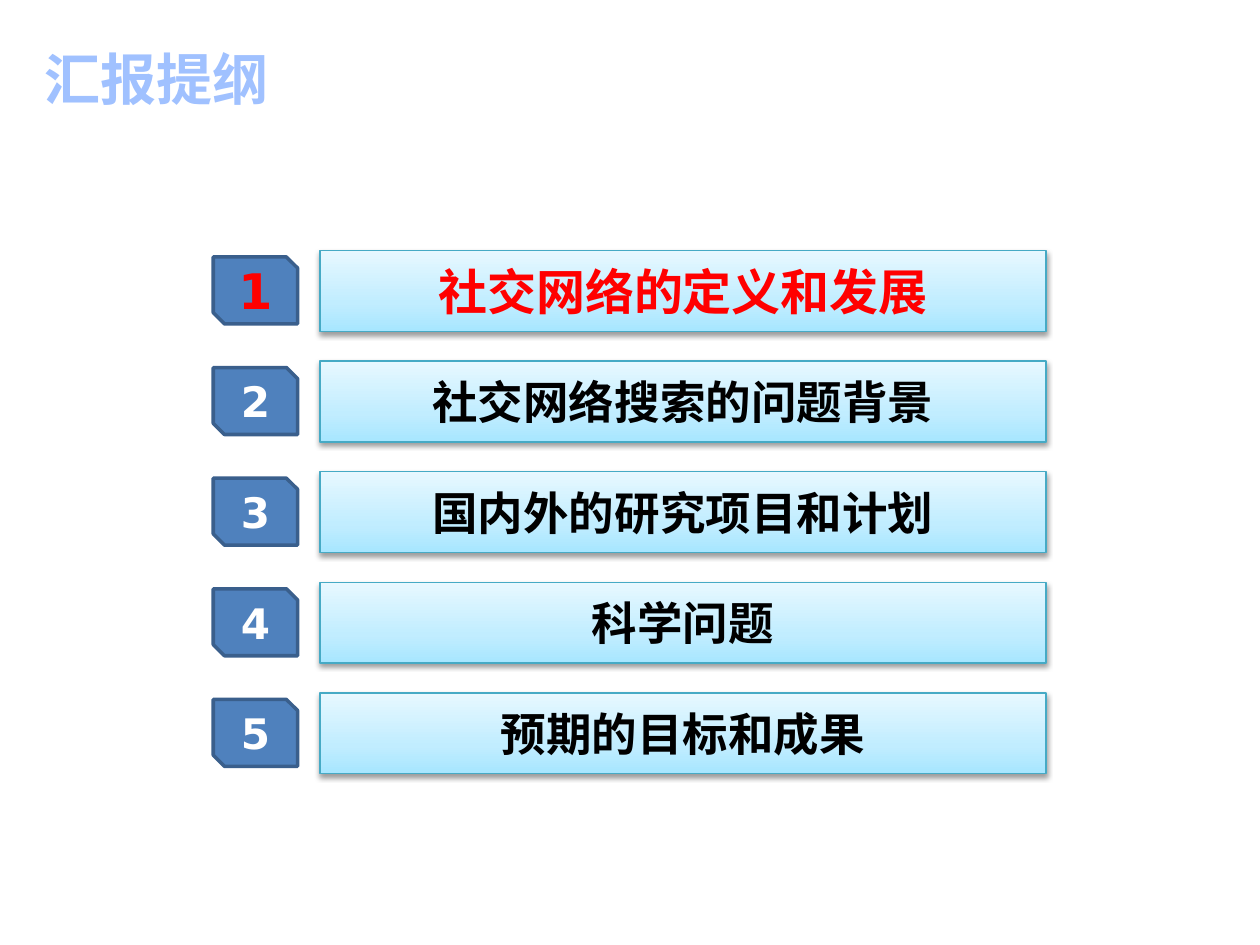
from dataclasses import dataclass

from pptx import Presentation
from pptx.dml.color import RGBColor
from pptx.enum.shapes import MSO_SHAPE
from pptx.enum.text import MSO_ANCHOR, PP_ALIGN
from pptx.oxml import parse_xml
from pptx.oxml.ns import nsdecls, qn
from pptx.util import Cm, Pt


@dataclass(frozen=True)
class Theme:
    title: str = "A0C1FF"
    text: str = "000000"
    number: str = "FFFFFF"
    current: str = "FF0000"
    badge: str = "4F81BD"
    badge_line: str = "3A5F8C"
    bar_line: str = "46AAC5"
    bar_stops: tuple = ((0, "A7E6FF"), (35, "C1EDFF"), (100, "E7F8FF"))
    title_size: int = 32
    current_size: int = 28
    topic_size: int = 26
    number_size: int = 24
    text_font: str = "Noto Sans CJK SC"
    number_font: str = "DejaVu Sans"


theme = Theme()


def write(shape, text, font_name, size, color, align):
    frame = shape.text_frame
    frame.vertical_anchor = MSO_ANCHOR.MIDDLE
    paragraph = frame.paragraphs[0]
    paragraph.alignment = align
    run = paragraph.add_run()
    run.text = text
    for key, value in {"name": font_name, "size": Pt(size), "bold": True}.items():
        setattr(run.font, key, value)
    run.font.color.rgb = RGBColor.from_string(color)
    east_asian = parse_xml(f'<a:ea {nsdecls("a")} typeface="{font_name}"/>')
    run.font._element.find(qn("a:latin")).addnext(east_asian)


def add_box(group, kind, place, line_color, line_width):
    box = group.shapes.add_shape(kind, *(Cm(length) for length in place))
    box.shadow.inherit = False
    box.line.color.rgb = RGBColor.from_string(line_color)
    box.line.width = Pt(line_width)
    box.text_frame.word_wrap = False
    return box


prs = Presentation()
prs.slide_width, prs.slide_height = Cm(25.4), Cm(19.05)
slide = prs.slides.add_slide(prs.slide_layouts[5])

# Title
title = slide.shapes.title
title_place = {"left": 0.64, "top": 0.43, "width": 22.86, "height": 2.31}
for key, value in title_place.items():
    setattr(title, key, Cm(value))
write(title, "汇报提纲", theme.text_font, theme.title_size, theme.title, PP_ALIGN.LEFT)

# Agenda rows: a topic bar with a numbered badge, the current one in red
topics = [
    "社交网络的定义和发展",
    "社交网络搜索的问题背景",
    "国内外的研究项目和计划",
    "科学问题",
    "预期的目标和成果",
]
current_number = 1
first_top, row_pitch = 5.05, 2.23
stops_xml = "".join(
    f'<a:gs pos="{position * 1000}"><a:srgbClr val="{color}"/></a:gs>'
    for position, color in theme.bar_stops
)

for number, topic in enumerate(topics, start=1):
    top = first_top + (number - 1) * row_pitch
    row = slide.shapes.add_group_shape()
    if number == current_number:
        topic_style = number_style = (theme.current_size, theme.current)
    else:
        topic_style = (theme.topic_size, theme.text)
        number_style = (theme.number_size, theme.number)

    # Topic bar with a three-stop gradient and a soft shadow
    bar = add_box(row, MSO_SHAPE.RECTANGLE, (6.45, top, 14.64, 1.63), theme.bar_line, 0.75)
    bar.fill.gradient()
    bar.fill.gradient_angle = 90
    properties = bar._element.spPr
    stop_list = properties.find(qn("a:gradFill")).find(qn("a:gsLst"))
    stop_list.getparent().replace(
        stop_list, parse_xml(f'<a:gsLst {nsdecls("a")}>{stops_xml}</a:gsLst>')
    )
    properties.find(qn("a:effectLst")).append(parse_xml(
        f'<a:outerShdw {nsdecls("a")} blurRad="{Pt(3.1)}" dist="{Pt(1.6)}" dir="5400000" '
        'rotWithShape="0"><a:srgbClr val="000000"><a:alpha val="38000"/></a:srgbClr></a:outerShdw>'
    ))
    write(bar, topic, theme.text_font, *topic_style, PP_ALIGN.CENTER)

    # Number badge
    badge = add_box(row, MSO_SHAPE.SNIP_2_DIAG_RECTANGLE, (4.3, top + 0.13, 1.7, 1.35),
                    theme.badge_line, 2)
    badge.fill.solid()
    badge.fill.fore_color.rgb = RGBColor.from_string(theme.badge)
    write(badge, str(number), theme.number_font, *number_style, PP_ALIGN.CENTER)

prs.save("out.pptx")
